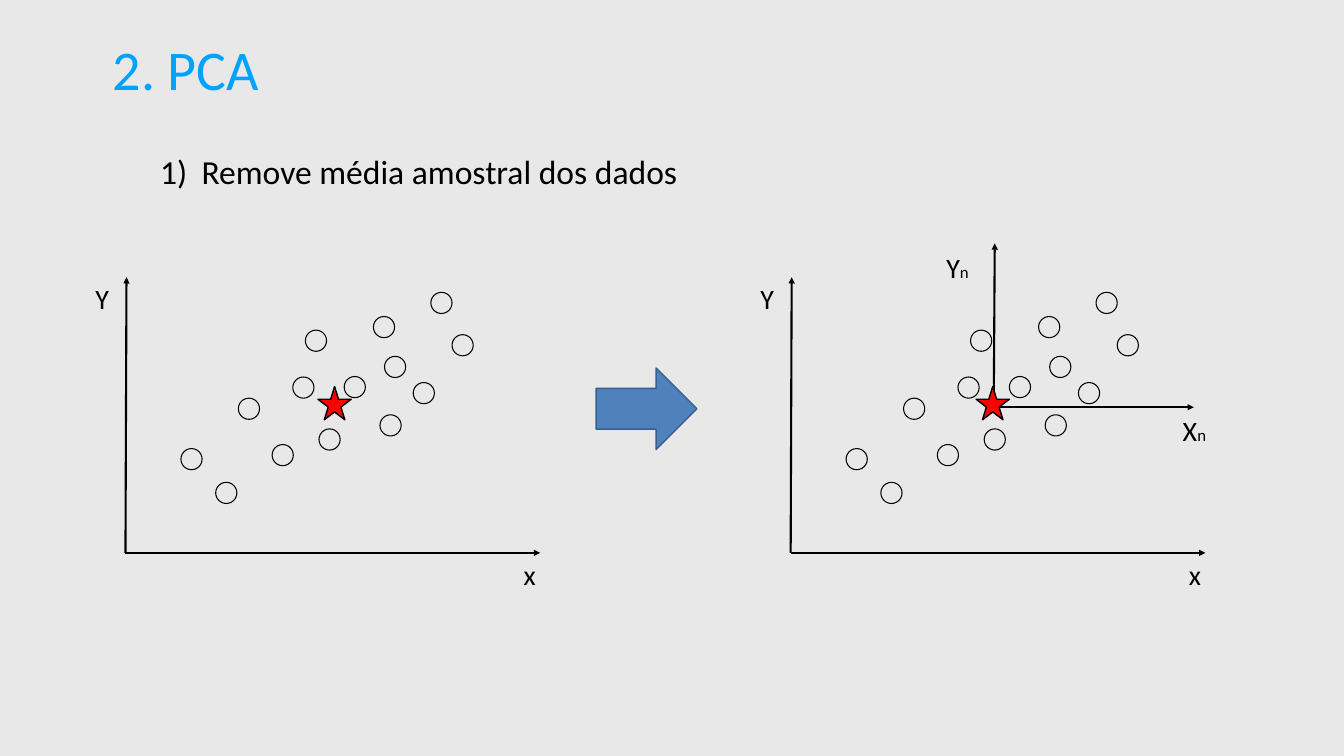
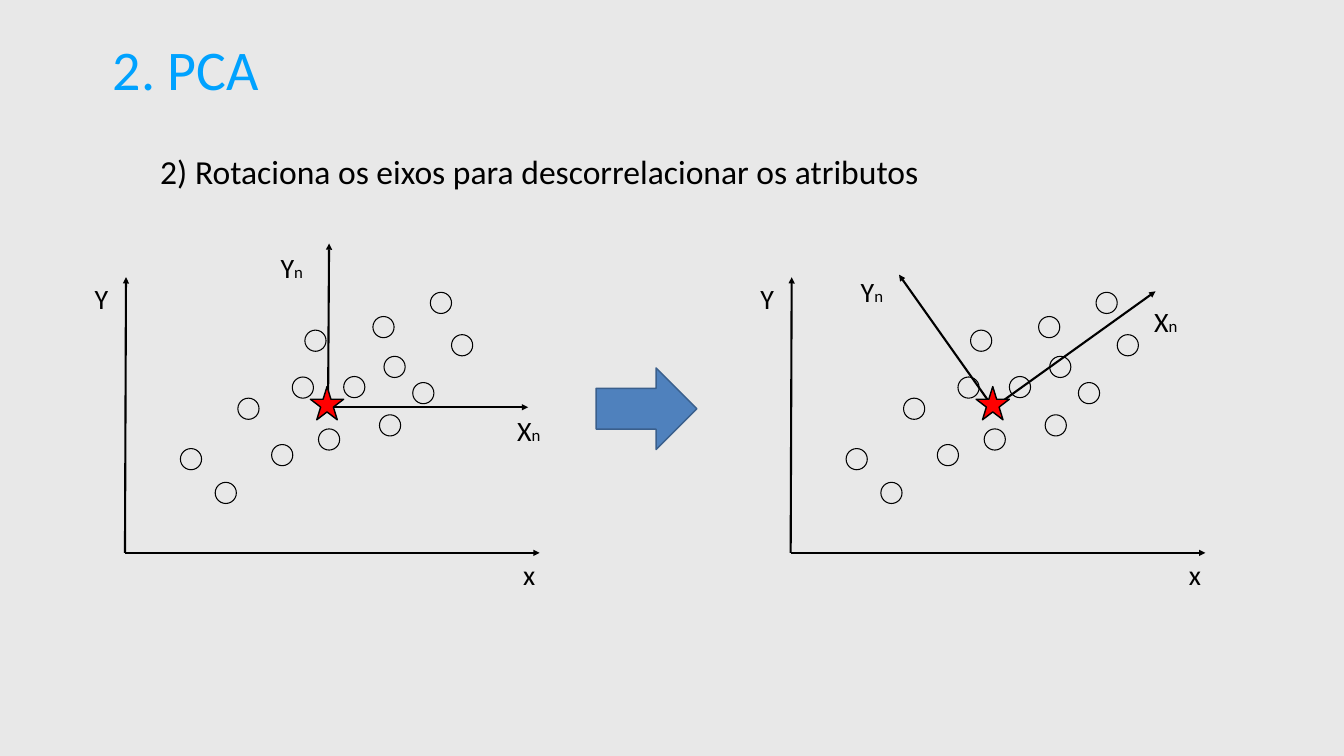
from dataclasses import dataclass

from lxml import etree
from pptx import Presentation
from pptx import util as u
from pptx.dml.color import RGBColor
from pptx.enum import shapes, text
from pptx.oxml import ns


@dataclass(frozen=True)
class Theme:
    font: str = "Calibri"
    background: RGBColor = RGBColor(0xE8, 0xE8, 0xE8)
    title: RGBColor = RGBColor(0x00, 0xA2, 0xFF)
    ink: RGBColor = RGBColor(0x00, 0x00, 0x00)
    arrow: RGBColor = RGBColor(0x4F, 0x81, 0xBD)
    arrow_edge: RGBColor = RGBColor(0x3A, 0x5F, 0x8C)
    mean: RGBColor = RGBColor(0xFF, 0x00, 0x00)
    title_size: int = 80
    step_size: int = 48
    label_size: int = 40
    subscript_size: int = 24
    axis_width: float = 3
    edge_width: float = 2
    point_width: float = 1.5


THEME = Theme()
INSET = 0.06
INDENT = 0.94
POINT_SIZE = 0.42
STAR_SIZE = 0.66
STAR_TOP = 7.67


@dataclass(frozen=True)
class Box:
    left: float
    top: float
    width: float
    height: float

    def lengths(self):
        return [u.Inches(v) for v in (self.left, self.top, self.width, self.height)]


@dataclass(frozen=True)
class Label:
    """Axis label, placed relative to the left of its plot."""
    letter: str
    box: Box
    subscript: str = ""
    wrap: bool = True


@dataclass(frozen=True)
class Axes:
    """A pair of axes sharing one origin, relative to the left of the plot."""
    origin: tuple[float, float]
    x_tip: tuple[float, float]
    y_tip: tuple[float, float]
    labels: tuple[Label, Label]


@dataclass(frozen=True)
class Plot:
    left: float
    star_left: float = 3.68
    new_axes: Axes | None = None


@dataclass(frozen=True)
class Step:
    heading: str
    plots: tuple[Plot, Plot]
    numbered: bool = False


# Shared plot content: (left, top) of each sample relative to the plot
POINTS = (
    (2.24, 7.9), (3.32, 7.48), (4.34, 7.47), (1.1, 8.9), (1.79, 9.57),
    (5.05, 8.23), (3.57, 6.55), (2.91, 8.82), (5.71, 7.59), (6.06, 5.8),
    (3.84, 8.51), (6.48, 6.64), (5.14, 7.07), (4.92, 6.28),
)
DATA_AXES = Axes(
    (0, 10.97), (8.23, 10.97), (0.02, 5.5),
    (Label("x", Box(6.9, 10.66, 1.82, 0.63)),
     Label("Y", Box(-1.6, 5.19, 1.82, 0.63))),
)
CENTERED_AXES = Axes(
    (4.03, 8.08), (8, 8.08), (4.05, 4.83),
    (Label("X", Box(6.78, 7.82, 2.02, 0.63), "n"),
     Label("Y", Box(2.05, 4.59, 1.72, 1.11), "n", wrap=False)),
)
ROTATED_AXES = Axes(
    (4.02, 8.09), (7.24, 5.78), (2.15, 5.45),
    (Label("X", Box(6.21, 5.64, 2.02, 0.63), "n"),
     Label("Y", Box(0.35, 5.07, 1.72, 0.99), "n", wrap=False)),
)

STEPS = (
    Step("Remove média amostral dos dados",
         (Plot(2.49, star_left=3.82), Plot(15.69, new_axes=CENTERED_AXES)),
         numbered=True),
    Step("2) Rotaciona os eixos para descorrelacionar os atributos",
         (Plot(2.48, new_axes=CENTERED_AXES), Plot(15.69, new_axes=ROTATED_AXES))),
)


def add_text_frame(slide, box: Box, inset: float | None = INSET):
    frame = slide.shapes.add_textbox(*box.lengths()).text_frame
    frame.word_wrap = True
    if inset is not None:
        frame.margin_left = frame.margin_right = u.Inches(inset)
        frame.margin_top = frame.margin_bottom = u.Inches(inset)
    return frame


def set_font(font, size: int, color: RGBColor) -> None:
    font.name = THEME.font
    font.size = u.Pt(size)
    font.color.rgb = color


def indent(paragraph, left: float, first: float = 0) -> None:
    properties = paragraph._p.get_or_add_pPr()
    properties.set("marL", str(u.Inches(left)))
    properties.set("indent", str(u.Inches(first)))
    paragraph.line_spacing = 1.5


def add_title(slide) -> None:
    frame = add_text_frame(slide, Box(2.18, 0.63, 19.55, 1.44))
    frame.vertical_anchor = text.MSO_ANCHOR.MIDDLE
    title = frame.paragraphs[0]
    title.text = "2. PCA"
    set_font(title.font, THEME.title_size, THEME.title)


def add_heading(slide, step: Step) -> None:
    heading = add_text_frame(slide, Box(2.18, 2.53, 21.68, 3.31)).paragraphs[0]
    heading.text = step.heading
    if step.numbered:
        hang = 0.82
        indent(heading, INDENT + hang, -hang)
        number = etree.SubElement(heading._p.get_or_add_pPr(), ns.qn("a:buAutoNum"))
        number.set("type", "arabicParenR")
    else:
        indent(heading, INDENT)
    set_font(heading.font, THEME.step_size, THEME.ink)


def add_label(slide, plot_left: float, label: Label) -> None:
    place = label.box
    box = Box(plot_left + place.left, place.top, place.width, place.height)
    frame = add_text_frame(slide, box, INSET if label.wrap else None)
    if not label.wrap:
        frame.word_wrap = False
        frame.auto_size = text.MSO_AUTO_SIZE.SHAPE_TO_FIT_TEXT
    name = frame.paragraphs[0]
    indent(name, INDENT)
    set_font(name.font, THEME.label_size, THEME.ink)
    name.add_run().text = label.letter
    if label.subscript:
        subscript = name.add_run()
        subscript.text = label.subscript
        subscript.font.size = u.Pt(THEME.subscript_size)


def add_axis(slide, plot_left: float, start: tuple[float, float],
             tip: tuple[float, float]) -> None:
    axis = slide.shapes.add_connector(
        shapes.MSO_CONNECTOR.STRAIGHT,
        u.Inches(plot_left + start[0]), u.Inches(start[1]),
        u.Inches(plot_left + tip[0]), u.Inches(tip[1]))
    axis.line.color.rgb = THEME.ink
    axis.line.width = u.Pt(THEME.axis_width)
    properties = axis._element.spPr
    tail = etree.SubElement(properties.find(ns.qn("a:ln")), ns.qn("a:tailEnd"))
    tail.set("type", "triangle")
    etree.SubElement(properties, ns.qn("a:effectLst"))


def add_axes(slide, plot_left: float, axes: Axes) -> None:
    for tip in (axes.y_tip, axes.x_tip):
        add_axis(slide, plot_left, axes.origin, tip)
    for label in axes.labels:
        add_label(slide, plot_left, label)


def add_figure(slide, kind, box: Box, fill: RGBColor | None,
               edge: RGBColor, width: float) -> None:
    figure = slide.shapes.add_shape(kind, *box.lengths())
    figure.shadow.inherit = False
    if fill is None:
        figure.fill.background()
    else:
        figure.fill.solid()
        figure.fill.fore_color.rgb = fill
    figure.line.color.rgb = edge
    figure.line.width = u.Pt(width)


def add_plot(slide, plot: Plot) -> None:
    add_axes(slide, plot.left, DATA_AXES)
    for left, top in POINTS:
        add_figure(slide, shapes.MSO_SHAPE.OVAL,
                   Box(plot.left + left, top, POINT_SIZE, POINT_SIZE),
                   None, THEME.ink, THEME.point_width)
    if plot.new_axes:
        add_axes(slide, plot.left, plot.new_axes)
    # Sample mean
    add_figure(slide, shapes.MSO_SHAPE.STAR_5_POINT,
               Box(plot.left + plot.star_left, STAR_TOP, STAR_SIZE, STAR_SIZE),
               THEME.mean, THEME.ink, THEME.edge_width)


def add_step(deck, step: Step) -> None:
    slide = deck.slides.add_slide(deck.slide_layouts[6])
    add_title(slide)
    add_heading(slide, step)
    for plot in step.plots:
        add_plot(slide, plot)
    add_figure(slide, shapes.MSO_SHAPE.RIGHT_ARROW, Box(11.83, 7.3, 2, 1.62),
               THEME.arrow, THEME.arrow_edge, THEME.edge_width)


def main() -> None:
    deck = Presentation()
    deck.slide_width, deck.slide_height = u.Inches(26.67), u.Inches(15)
    # Shared grey background
    backdrop = deck.slide_master.background.fill
    backdrop.solid()
    backdrop.fore_color.rgb = THEME.background
    for step in STEPS:
        add_step(deck, step)
    deck.save("out.pptx")


if __name__ == "__main__":
    main()
